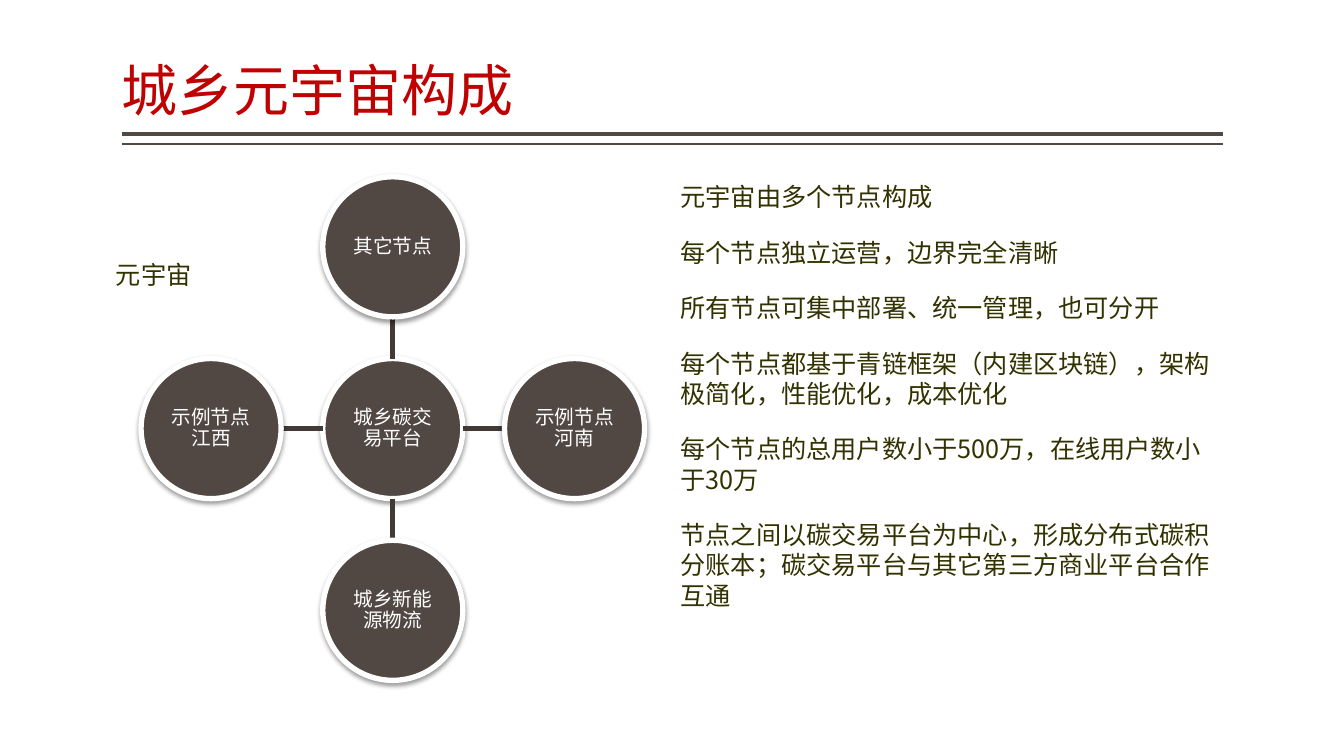
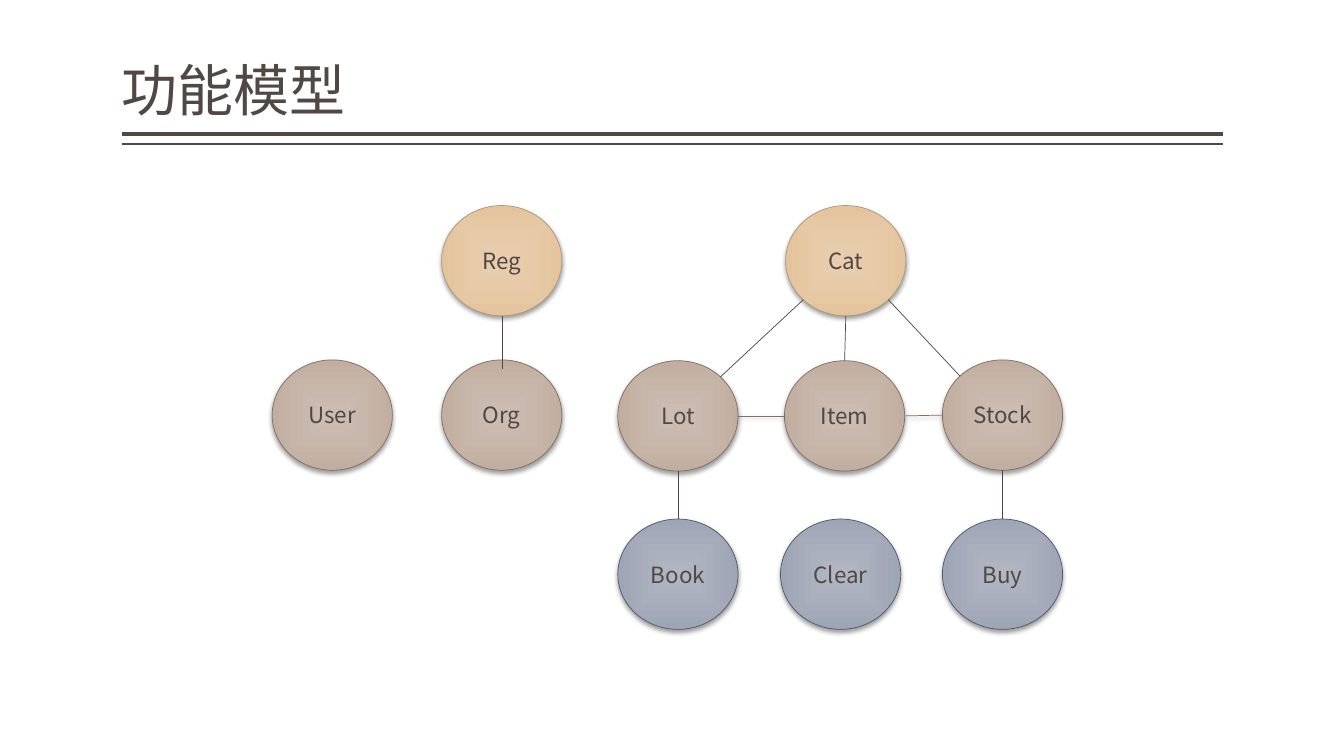
"""Build two slides: the nodes of an urban-rural metaverse and its functional model."""
from math import cos, radians, sin

from pptx import Presentation
from pptx.dml.color import RGBColor
from pptx.enum.shapes import MSO_CONNECTOR as Connector, MSO_SHAPE as Preset
from pptx.enum.text import MSO_ANCHOR as Anchor, PP_ALIGN as Align
from pptx.oxml import parse_xml
from pptx.oxml.ns import nsdecls, qn
from pptx.util import Cm, Pt

FONT = "Noto Sans CJK SC"
COLORS = {
    "brown": "514843", "red": "BF0102", "olive": "323200", "white": "FFFFFF",
    "spoke": "413A36", "link": "504641", "taupe_line": "806F63",
}
NODE_COLORS = {
    "sand": ("E8CEAF", "E4C49D", "AB977A"),
    "taupe": ("CCBDB3", "C2AEA1", COLORS["taupe_line"]),
    "slate": ("B1B6C2", "9EA5B5", "505868"),
}
SHADOW = (
    f'<a:effectLst {nsdecls("a")}><a:outerShdw blurRad="44450" dist="25400" dir="5400000" '
    'algn="ctr" rotWithShape="0"><a:srgbClr val="000000"><a:alpha val="38000"/></a:srgbClr>'
    '</a:outerShdw></a:effectLst>'
)
NO_SHADOW = f'<a:effectLst {nsdecls("a")}/>'
CENTER_PATH = (
    f'<a:path {nsdecls("a")} path="rect">'
    '<a:fillToRect l="50000" t="50000" r="50000" b="50000"/></a:path>'
)


def write_text(shape, text, size=18, color="olive", align=Align.LEFT, anchor=Anchor.TOP,
               margins=(0.25, 0.13), line_spacing=None, space_before=0):
    frame = shape.text_frame
    frame.word_wrap = True
    frame.vertical_anchor = anchor
    frame.margin_left = frame.margin_right = Cm(margins[0])
    frame.margin_top = frame.margin_bottom = Cm(margins[1])
    frame.text = text
    for paragraph in frame.paragraphs:
        paragraph.alignment = align
        paragraph.line_spacing = line_spacing
        paragraph.space_before = Pt(space_before)
        for run in paragraph.runs:
            run.font.size = Pt(size)
            run.font.name = FONT
            run.font.color.rgb = RGBColor.from_string(COLORS[color])
            run.font._element.append(parse_xml(f'<a:ea {nsdecls("a")} typeface="{FONT}"/>'))


def draw_line(slide, start, end, color, width, effect=NO_SHADOW):
    points = [Cm(value) for value in (*start, *end)]
    line = slide.shapes.add_connector(Connector.STRAIGHT, *points)
    line.line.color.rgb = RGBColor.from_string(COLORS[color])
    line.line.width = Pt(width)
    line._element.spPr.append(parse_xml(effect))


presentation = Presentation()
presentation.slide_width, presentation.slide_height = Cm(33.87), Cm(19.05)
blank_layout = presentation.slide_layouts[6]

LEFT, RIGHT = 3.07, 30.81
for title, title_color in (("城乡元宇宙构成", "red"), ("功能模型", "brown")):
    slide = presentation.slides.add_slide(blank_layout)
    for rule_top, rule_width in ((3.38, 3), (3.63, 1)):
        draw_line(slide, (LEFT, rule_top), (RIGHT, rule_top), "brown", rule_width)
    title_box = slide.shapes.add_textbox(Cm(LEFT), Cm(0.2), Cm(RIGHT - LEFT), Cm(3.05))
    write_text(title_box, title, size=40, color=title_color, anchor=Anchor.BOTTOM,
               margins=(0, 0.13), line_spacing=0.9)
metaverse_slide, model_slide = presentation.slides

HUB_X, HUB_Y, PITCH, DIAMETER = 9.9, 10.8, 4.58, 3.53
RADIUS = DIAMETER / 2
metaverse_nodes = (
    ("城乡碳交易平台", 0, 0),
    ("其它节点", 0, -1),
    ("示例节点河南", 1, 0),
    ("城乡新能源物流", 0, 1),
    ("示例节点江西", -1, 0),
)
for name, across, down in metaverse_nodes:
    if across or down:
        start, end = [(HUB_X + across * reach, HUB_Y + down * reach)
                      for reach in (RADIUS, PITCH - RADIUS)]
        draw_line(metaverse_slide, start, end, "spoke", 3.78)
    circle = metaverse_slide.shapes.add_shape(
        Preset.OVAL, Cm(HUB_X + across * PITCH - RADIUS), Cm(HUB_Y + down * PITCH - RADIUS),
        Cm(DIAMETER), Cm(DIAMETER))
    circle.fill.solid()
    circle.fill.fore_color.rgb = RGBColor.from_string(COLORS["brown"])
    circle.line.color.rgb = RGBColor.from_string(COLORS["white"])
    circle.line.width = Pt(3.82)
    circle._element.spPr.append(parse_xml(SHADOW))
    write_text(circle, name, size=14, color="white", align=Align.CENTER, anchor=Anchor.MIDDLE,
               margins=(0.02, 0.02), line_spacing=0.9)

features = (
    "元宇宙由多个节点构成",
    "每个节点独立运营，边界完全清晰",
    "所有节点可集中部署、统一管理，也可分开",
    "每个节点都基于青链框架（内建区块链），架构极简化，性能优化，成本优化",
    "每个节点的总用户数小于500万，在线用户数小于30万",
    "节点之间以碳交易平台为中心，形成分布式碳积分账本；碳交易平台与其它第三方商业平台合作互通",
)
feature_box = metaverse_slide.shapes.add_textbox(Cm(17.15), Cm(4.45), Cm(13.66), Cm(12.7))
write_text(feature_box, "\n".join(features), margins=(0, 0.13), space_before=18)
label_box = metaverse_slide.shapes.add_textbox(Cm(2.67), Cm(6.4), Cm(2.49), Cm(1.02))
write_text(label_box, "元宇宙")

NODE_WIDTH, NODE_HEIGHT = 3.03, 2.78
model_nodes = {
    "Reg": (11.13, 5.18, "sand"),
    "Cat": (19.8, 5.18, "sand"),
    "User": (6.86, 9.07, "taupe"),
    "Org": (11.13, 9.07, "taupe"),
    "Lot": (15.57, 9.09, "taupe"),
    "Item": (19.77, 9.09, "taupe"),
    "Stock": (23.75, 9.07, "taupe"),
    "Book": (15.57, 13.08, "slate"),
    "Clear": (19.67, 13.08, "slate"),
    "Buy": (23.75, 13.08, "slate"),
}
for name, (left, top, tone) in model_nodes.items():
    node = model_slide.shapes.add_shape(
        Preset.OVAL, Cm(left), Cm(top), Cm(NODE_WIDTH), Cm(NODE_HEIGHT))
    *stop_colors, line_color = NODE_COLORS[tone]
    node.fill.gradient()
    for stop, stop_color in zip(node.fill.gradient_stops, stop_colors):
        stop.color.rgb = RGBColor.from_string(stop_color)
    gradient = node._element.spPr.find(qn("a:gradFill"))
    gradient.replace(gradient.find(qn("a:lin")), parse_xml(CENTER_PATH))
    node.line.color.rgb = RGBColor.from_string(line_color)
    node.line.width = Pt(0.5)
    node._element.spPr.append(parse_xml(SHADOW))
    write_text(node, name, size=16, color="brown", align=Align.CENTER, anchor=Anchor.MIDDLE)

UP, DOWN, TO_LEFT, TO_RIGHT = 270, 90, 180, 0
model_links = (
    ("Cat", DOWN, "Item", UP, "link", NO_SHADOW),
    ("Cat", 135, "Lot", 315, "link", NO_SHADOW),
    ("Cat", 45, "Stock", 225, "link", NO_SHADOW),
    ("Lot", TO_RIGHT, "Item", TO_LEFT, "taupe_line", SHADOW),
    ("Item", TO_RIGHT, "Stock", TO_LEFT, "taupe_line", SHADOW),
    ("Lot", DOWN, "Book", UP, "link", NO_SHADOW),
    ("Stock", DOWN, "Buy", UP, "link", NO_SHADOW),
)
for source, source_angle, target, target_angle, color, effect in model_links:
    ends = []
    for name, angle in ((source, source_angle), (target, target_angle)):
        left, top, _ = model_nodes[name]
        ends.append((left + NODE_WIDTH / 2 * (1 + cos(radians(angle))),
                     top + NODE_HEIGHT / 2 * (1 + sin(radians(angle)))))
    draw_line(model_slide, *ends, color, 0.5, effect)
draw_line(model_slide, (12.65, 7.96), (12.65, 9.3), "link", 0.5)

presentation.save("out.pptx")
